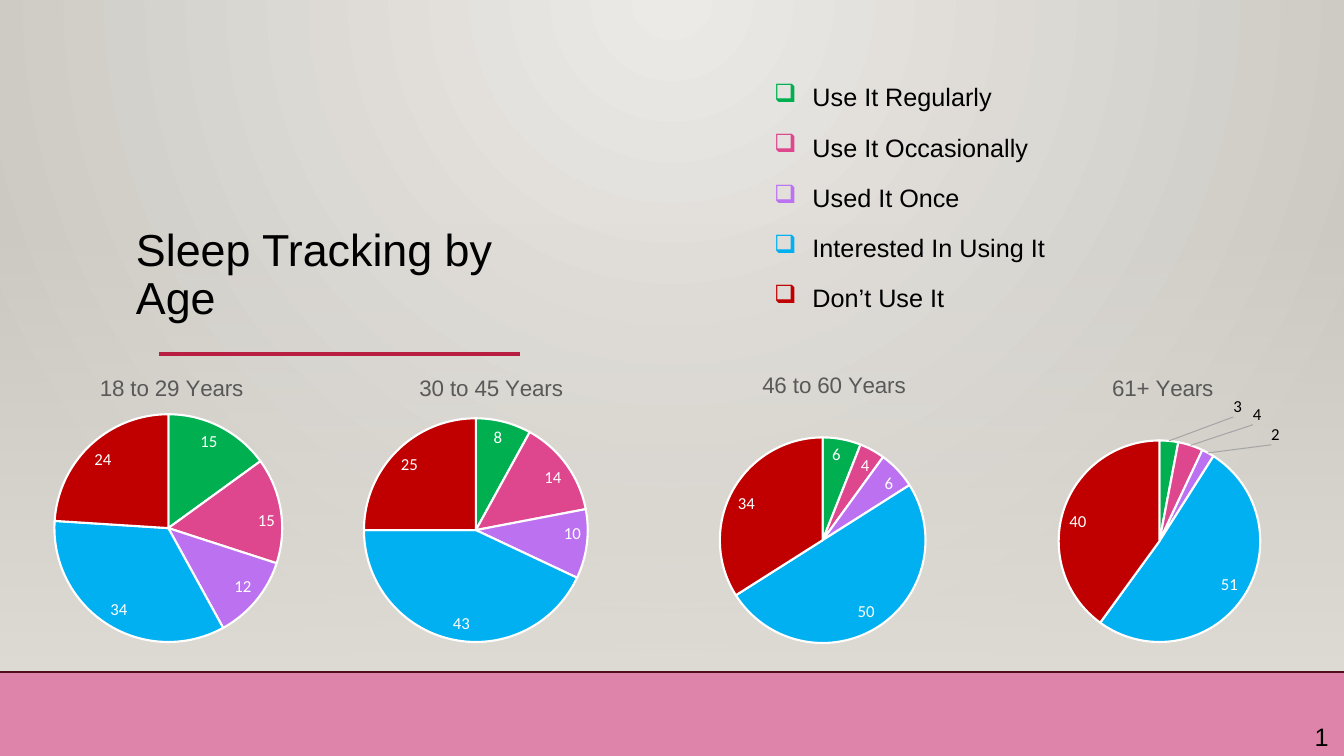
from lxml import etree
from pptx import Presentation
from pptx.chart.data import CategoryChartData
from pptx.dml.color import RGBColor
from pptx.enum.chart import XL_CHART_TYPE, XL_LABEL_POSITION
from pptx.enum.shapes import MSO_CONNECTOR, MSO_SHAPE
from pptx.enum.text import MSO_ANCHOR
from pptx.oxml.ns import qn
from pptx.util import Inches, Pt

PIE = XL_CHART_TYPE.PIE
INSIDE_END = XL_LABEL_POSITION.INSIDE_END
OUTSIDE_END = XL_LABEL_POSITION.OUTSIDE_END
STRAIGHT = MSO_CONNECTOR.STRAIGHT
RECTANGLE = MSO_SHAPE.RECTANGLE
TOP, BOTTOM = MSO_ANCHOR.TOP, MSO_ANCHOR.BOTTOM

CHART_TOP, CHART_W, CHART_H = 3.52, 3.33, 2.99
ANSWERS = [
    ("Use It Regularly", "00B050"),
    ("Use It Occasionally", "DE478E"),
    ("Used It Once", "BC72F0"),
    ("Interested In Using It", "00B0F0"),
    ("Don’t Use It", "C00000"),
]
AGE_GROUPS = [
    {"title": "18 to 29 Years", "left": 0, "values": (15, 15, 12, 34, 24),
     "title_at": (0.95, 3.67), "pie": (0.54, 4.11, 2.26), "callouts": ()},
    {"title": "30 to 45 Years", "left": 3.17, "values": (8, 14, 10, 43, 25),
     "title_at": (4.12, 3.67), "pie": (3.61, 4.15, 2.22), "callouts": ()},
    {"title": "46 to 60 Years", "left": 6.5, "values": (6, 4, 6, 50, 34),
     "title_at": (7.52, 3.64), "pie": (7.14, 4.34, 2.04), "callouts": ()},
    {"title": "61+ Years", "left": 9.83, "values": (3, 4, 2, 51, 40),
     "title_at": (10.99, 3.67), "pie": (10.5, 4.37, 2),
     "callouts": ((0.19, -0.06), (0.18, -0.05), (0.18, -0.01))},
]


def rgb(value):
    """Turn a hex string into a colour."""
    return RGBColor.from_string(value)


def add(parent, tag, **attrs):
    """Append an XML child with the given attributes."""
    child = etree.SubElement(parent, qn(tag))
    for name, value in attrs.items():
        child.set(name, str(value))
    return child


def style(font, size, color="000000", name="Arial"):
    """Set the size, colour and typeface of a font."""
    font.size, font.name = Pt(size), name
    font.color.rgb = rgb(color)


def set_gradient(fill, *colors):
    """Fill with a two-stop gradient and return its stops."""
    fill.gradient()
    for stop, position, color in zip(fill.gradient_stops, (0, 1), colors):
        stop.position, stop.color.rgb = position, rgb(color)
    return fill.gradient_stops


def add_background(slide):
    """Lay the radial backdrop and the band that fades in over it."""
    set_gradient(slide.background.fill, "ECEAE7", "CAC7C1")
    grad = slide.element.find(".//" + qn("a:gradFill"))
    grad.remove(grad.find(qn("a:lin")))
    circle = etree.Element(qn("a:path"), path="circle")
    add(circle, "a:fillToRect", l=43000, t=0, r=43000, b=100000)
    grad.find(qn("a:gsLst")).addnext(circle)

    sp = add_rect(slide, 0, 2.21, 13.33, 4.49)
    set_gradient(sp.fill, "DFDBD5", "DFDBD5")
    sp.fill.gradient_angle = 270
    sp.line.fill.background()
    add(sp.element.find(".//" + qn("a:srgbClr")), "a:alpha", val=0)


def add_rect(slide, left, top, width, height):
    """Add a rectangle without a shadow."""
    sp = slide.shapes.add_shape(RECTANGLE, Inches(left), Inches(top), Inches(width), Inches(height))
    sp.shadow.inherit = False
    return sp


def add_bar(slide):
    """Add the pink bar at the foot."""
    sp = add_rect(slide, -0.1, 6.67, 13.53, 0.9)
    sp.fill.solid()
    sp.fill.fore_color.rgb = rgb("DE83AA")
    sp.line.color.rgb = rgb("500D1D")
    sp.line.width = Pt(1.25)


def add_rule(slide):
    """Add the red line under the title."""
    line = slide.shapes.add_connector(STRAIGHT, Inches(1.58), Inches(3.51), Inches(5.16), Inches(3.51))
    line.line.color.rgb = rgb("B71E42")
    line.line.width = Pt(2.5)
    add(line.element.spPr, "a:effectLst")


def add_box(slide, left, top, width, height, anchor=TOP):
    """Add a wrapping text box and return its text frame."""
    box = slide.shapes.add_textbox(Inches(left), Inches(top), Inches(width), Inches(height))
    tf = box.text_frame
    tf.word_wrap, tf.vertical_anchor = True, anchor
    return tf


def add_title(slide):
    """Add the slide title."""
    p = add_box(slide, 1.25, 2.17, 4.42, 1.1, BOTTOM).paragraphs[0]
    p.text, p.line_spacing = "Sleep Tracking by Age", 0.9
    style(p.font, 32)


def add_key(slide):
    """Add the list of answers with coloured bullets."""
    tf = add_box(slide, 7.58, 0.7, 4.51, 2.65)
    for i, (answer, color) in enumerate(ANSWERS):
        p = tf.add_paragraph() if i else tf.paragraphs[0]
        p.text, p.line_spacing = answer, 1.2
        p.space_before = Pt(10 if i else 0)
        pPr = p._p.get_or_add_pPr()
        pPr.set("marL", str(Inches(0.38)))
        pPr.set("indent", str(Inches(-0.38)))
        add(add(pPr, "a:buClr"), "a:srgbClr", val=color)
        add(pPr, "a:buChar", char="❑")
        style(p.font, 18)


def add_page_number(slide):
    """Add the slide number field."""
    p = add_box(slide, 12.94, 7.11, 0.47, 0.4).paragraphs[0]
    style(p.font, 18)
    field = add(p._p, "a:fld", id="{B6F15528-21DE-4FAA-801E-634DDDAF4B2B}", type="slidenum")
    add(field, "a:rPr", lang="en-US")
    add(field, "a:t").text = "1"


def make_layout(target=None, **lengths):
    """Build a manual chart layout from fractions."""
    layout = etree.Element(qn("c:layout"))
    manual = add(layout, "c:manualLayout")
    if target:
        add(manual, "c:layoutTarget", val=target)
    if target or "xMode" in lengths:
        lengths.pop("xMode", None)
        add(manual, "c:xMode", val="edge")
        add(manual, "c:yMode", val="edge")
    for name, value in lengths.items():
        add(manual, "c:" + name, val=round(value, 4))
    return layout


def replace_layout(parent, layout, after=None):
    """Put a layout into a chart element, after the named child if any."""
    for old in parent.findall(qn("c:layout")):
        parent.remove(old)
    if after:
        parent.find(qn(after)).addnext(layout)
    else:
        parent.insert(0, layout)


def add_labels(series, callouts):
    """Label the slices, moving the first ones out on leader lines."""
    labels = series.data_labels
    labels.show_value, labels.position = True, INSIDE_END
    style(labels.font, 12, "FFFFFF", "Calibri")
    for i, (dx, dy) in enumerate(callouts):
        label = series.points[i].data_label
        style(label.font, 12, name="Calibri")
        label.position = OUTSIDE_END
        dLbl = series._element.findall(".//" + qn("c:dLbl"))[i]
        replace_layout(dLbl, make_layout(x=dx, y=dy), "c:idx")
    if callouts:
        dLbls = series._element.find(qn("c:dLbls"))
        for old in dLbls.findall(qn("c:showLeaderLines")):
            dLbls.remove(old)
        add(dLbls, "c:showLeaderLines", val=1)
        ln = add(add(add(dLbls, "c:leaderLines"), "c:spPr"), "a:ln", w=Pt(0.75))
        add(add(ln, "a:solidFill"), "a:srgbClr", val="A6A6A6")


def add_pie(slide, title, left, values, title_at, pie, callouts):
    """Add the pie chart of one age group."""
    data = CategoryChartData()
    data.categories = ["1", "2", "3", "4", "5"]
    data.add_series("Series 1", values)
    chart = slide.shapes.add_chart(
        PIE, Inches(left), Inches(CHART_TOP), Inches(CHART_W), Inches(CHART_H), data).chart
    style(chart.font, 10, name="Calibri")
    chart.has_legend = False
    p = chart.chart_title.text_frame.paragraphs[0]
    p.text, p.font.bold = title, False
    style(p.font, 16, "595959")

    plot = chart.plots[0]
    plot.vary_by_categories = True
    series = plot.series[0]
    for i, (_, color) in enumerate(ANSWERS):
        fmt = series.points[i].format
        fmt.fill.solid()
        fmt.fill.fore_color.rgb = rgb(color)
        fmt.line.color.rgb = rgb("FFFFFF")
        fmt.line.width = Pt(1.5)
    add_labels(series, callouts)

    x, y, size = pie
    root = chart.element
    replace_layout(root.find(".//" + qn("c:plotArea")), make_layout(
        "inner", x=(x - left) / CHART_W, y=(y - CHART_TOP) / CHART_H,
        w=size / CHART_W, h=size / CHART_H))
    replace_layout(root.find(".//" + qn("c:title")), make_layout(
        xMode="edge", x=(title_at[0] - left) / CHART_W,
        y=(title_at[1] - CHART_TOP) / CHART_H), "c:tx")


def main():
    """Build the slide and save it."""
    prs = Presentation()
    prs.slide_width, prs.slide_height = Inches(13.33), Inches(7.5)
    slide = prs.slides.add_slide(prs.slide_layouts[6])
    add_background(slide)
    add_rule(slide)
    add_title(slide)
    add_key(slide)
    add_bar(slide)
    for group in AGE_GROUPS:
        add_pie(slide, **group)
    add_page_number(slide)
    prs.save("out.pptx")


if __name__ == "__main__":
    main()
